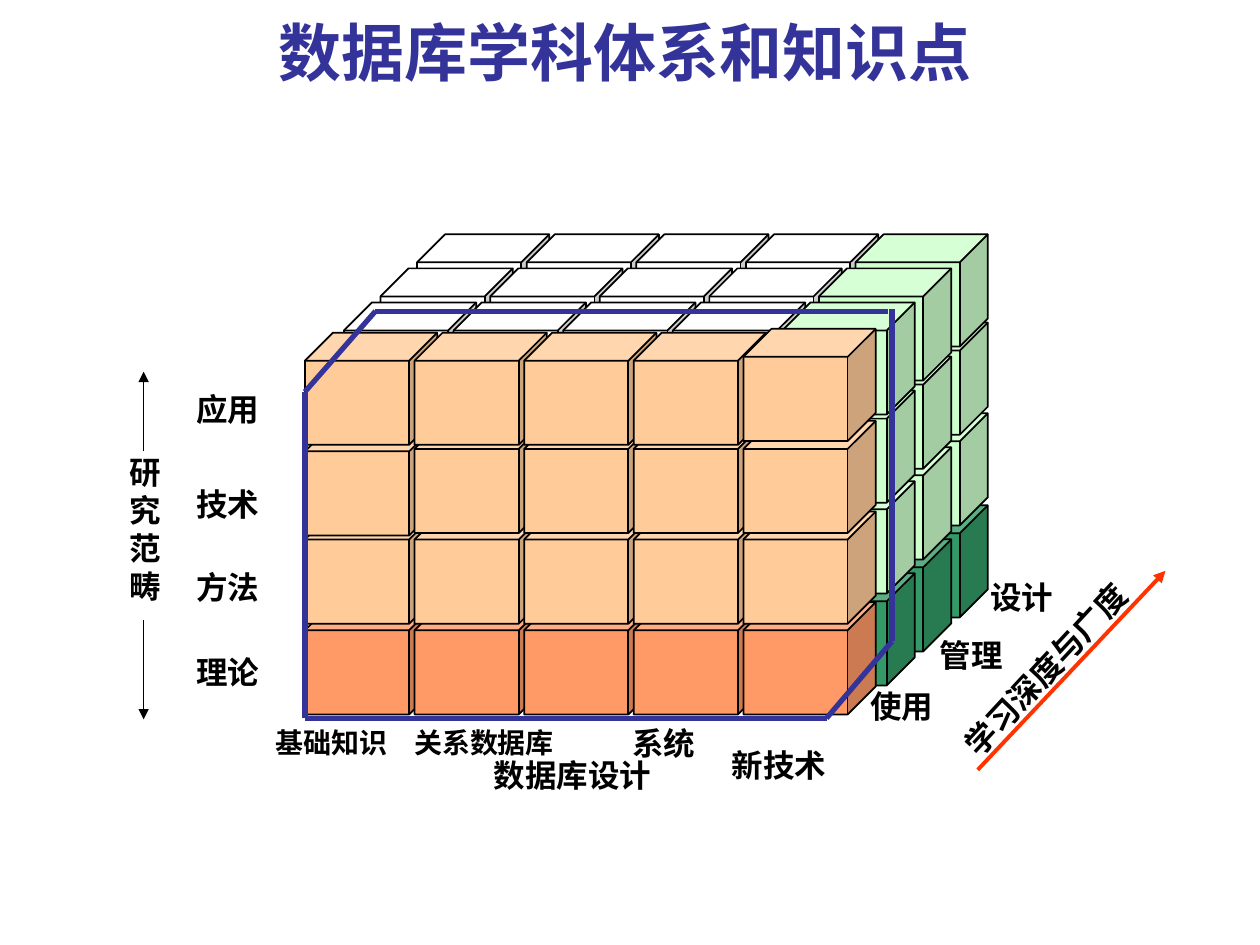
from dataclasses import dataclass
from itertools import pairwise, product

from lxml.etree import SubElement
from pptx import Presentation
from pptx.dml.color import RGBColor
from pptx.enum.shapes import MSO_CONNECTOR, MSO_SHAPE
from pptx.enum.text import MSO_ANCHOR as Anchor, MSO_AUTO_SIZE as AutoSize, PP_ALIGN as Align
from pptx.oxml.ns import qn
from pptx.util import Inches, Pt

COLORS = {
    "navy": "333399", "black": "000000", "white": "FFFFFF", "red": "FF3300",
    "green": "339966", "mint": "CCFFCC", "orange": "FF9966", "peach": "FFCC99",
}
CUBE_W, CUBE_H = 1.05, 0.89
COL_STEP = 0.87
DEPTH_X, DEPTH_Y = -0.29, 0.27
COLS, DEPTHS = 5, 3


@dataclass
class Label:
    text: str
    x: float
    y: float
    w: float
    h: float = 0.4
    size: int = 18
    font: str = "Comic Neue"
    color: str = "black"
    align: Align = Align.LEFT
    anchor: Anchor = Anchor.TOP
    wrap: bool = True
    fit: AutoSize = AutoSize.SHAPE_TO_FIT_TEXT
    rotation: float = 0


@dataclass
class Arrow:
    start: tuple[float, float]
    end: tuple[float, float]
    color: str
    width: float


LABELS = [
    # Columns
    Label("基础知识", 2.09, 5.71, 1.25, 0.37, 16),
    Label("关系数据库", 3.19, 5.71, 1.34, 0.37, 16),
    Label("数据库设计", 3.82, 5.95, 1.81),
    Label("系统", 4.92, 5.7, 1.97),
    Label("新技术", 5.71, 5.87, 1.34),
    # Depth layers
    Label("使用", 6.81, 5.4, 1.02),
    Label("管理", 7.36, 5, 1.18),
    Label("设计", 7.76, 4.54, 1.42),
    # Rows
    Label("应用", 1.46, 3.05, 1.02),
    Label("技术", 1.46, 3.8, 1.1),
    Label("方法", 1.46, 4.46, 0.95),
    Label("理论", 1.46, 5.13, 1.02),
    # Axes
    Label("研\n究\n范\n畴", 0.93, 3.55, 0.45, 1.3, wrap=False),
    Label("学习深度与广度", 7.21, 4.85, 2.67, rotation=312.9),
]
TITLE = Label("数据库学科体系和知识点", 1.22, 0.21, 7.48, 0.4, 36, "Arial", "navy",
              Align.CENTER, Anchor.MIDDLE, fit=AutoSize.NONE)
ARROWS = [
    Arrow((1.14, 4.92), (1.14, 5.71), "black", 0.75),
    Arrow((1.14, 3.58), (1.14, 2.95), "black", 0.75),
    Arrow((7.76, 6.11), (9.25, 4.53), "red", 2.25),
]
FRAME = [(7.05, 2.47), (2.98, 2.47), (2.42, 3.11), (2.42, 5.7),
         (6.56, 5.7), (7.08, 5.09), (7.08, 2.45)]


def rgb(name: str) -> RGBColor:
    return RGBColor.from_string(COLORS[name])


def set_all(target, values: dict) -> None:
    for name, value in values.items():
        setattr(target, name, value)


def add_cube(shapes, x: float, y: float, color: str) -> None:
    sp = shapes.add_shape(MSO_SHAPE.CUBE, Inches(x), Inches(y), Inches(CUBE_W), Inches(CUBE_H))
    sp.adjustments[0] = 0.25
    sp.shadow.inherit = False
    sp.fill.solid()
    sp.fill.fore_color.rgb = rgb(color)
    sp.line.color.rgb = rgb("black")
    sp.line.width = Pt(1)


def add_label(shapes, label: Label) -> None:
    sp = shapes.add_textbox(Inches(label.x), Inches(label.y), Inches(label.w), Inches(label.h))
    sp.rotation = label.rotation
    tf = sp.text_frame
    tf.text = label.text
    set_all(tf, {"word_wrap": label.wrap, "auto_size": label.fit,
                 "vertical_anchor": label.anchor})
    for p in tf.paragraphs:
        p.alignment = label.align
        for r in p.runs:
            set_all(r.font, {"name": label.font, "size": Pt(label.size), "bold": True})
            r.font.color.rgb = rgb(label.color)


def add_line(shapes, line: Arrow, head: bool = True) -> None:
    points = [Inches(v) for v in (*line.start, *line.end)]
    cxn = shapes.add_connector(MSO_CONNECTOR.STRAIGHT, *points)
    cxn.line.color.rgb = rgb(line.color)
    cxn.line.width = Pt(line.width)
    if head:
        SubElement(cxn.line._get_or_add_ln(), qn("a:tailEnd"), type="triangle")
    SubElement(cxn._element.spPr, qn("a:effectLst"))


def add_cubes(shapes) -> None:
    # Right side, from the back layer to the front, bottom row first
    for d, (y, color) in product(range(DEPTHS),
                                 [(4.01, "green"), (3.28, "mint"), (2.56, "mint")]):
        add_cube(shapes, 6.79 + d * DEPTH_X, y + d * DEPTH_Y, color)

    # Top layer; its last column belongs to the right side
    for c, d in product(range(COLS), range(DEPTHS)):
        color = "mint" if c == COLS - 1 else "white"
        add_cube(shapes, 3.31 + c * COL_STEP + d * DEPTH_X, 1.86 + d * DEPTH_Y, color)

    # Front face, bottom row first; two cubes sit slightly off the grid
    nudges = {(0, 3.34): 0.02, (COLS - 1, 2.64): -0.03}
    for y, c in product([4.78, 4.06, 3.34, 2.64], range(COLS)):
        color = "orange" if y == 4.78 else "peach"
        add_cube(shapes, 2.42 + c * COL_STEP, y + nudges.get((c, y), 0), color)


def main() -> None:
    prs = Presentation()
    set_all(prs, {"slide_width": Inches(10), "slide_height": Inches(7.5)})
    s = prs.slides.add_slide(prs.slide_layouts[6])

    add_label(s.shapes, TITLE)
    add_cubes(s.shapes)
    for label in LABELS:
        add_label(s.shapes, label)

    # Outline around the front of the block
    frame = s.shapes.add_group_shape()
    for start, end in pairwise(FRAME):
        add_line(frame.shapes, Arrow(start, end, "navy", 3), head=False)

    # Axis arrows
    for arrow in ARROWS:
        add_line(s.shapes, arrow)

    prs.save("out.pptx")


if __name__ == "__main__":
    main()
